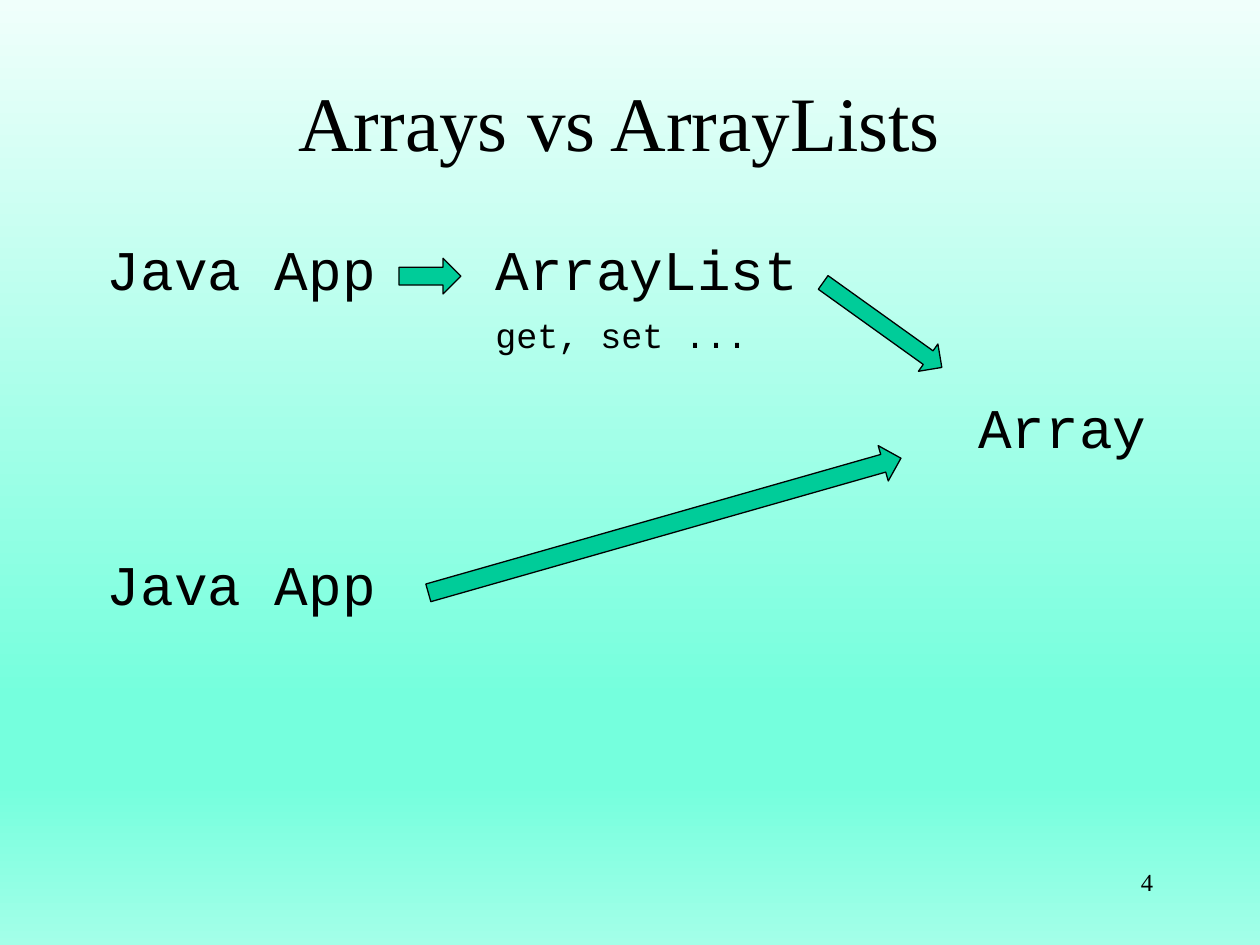
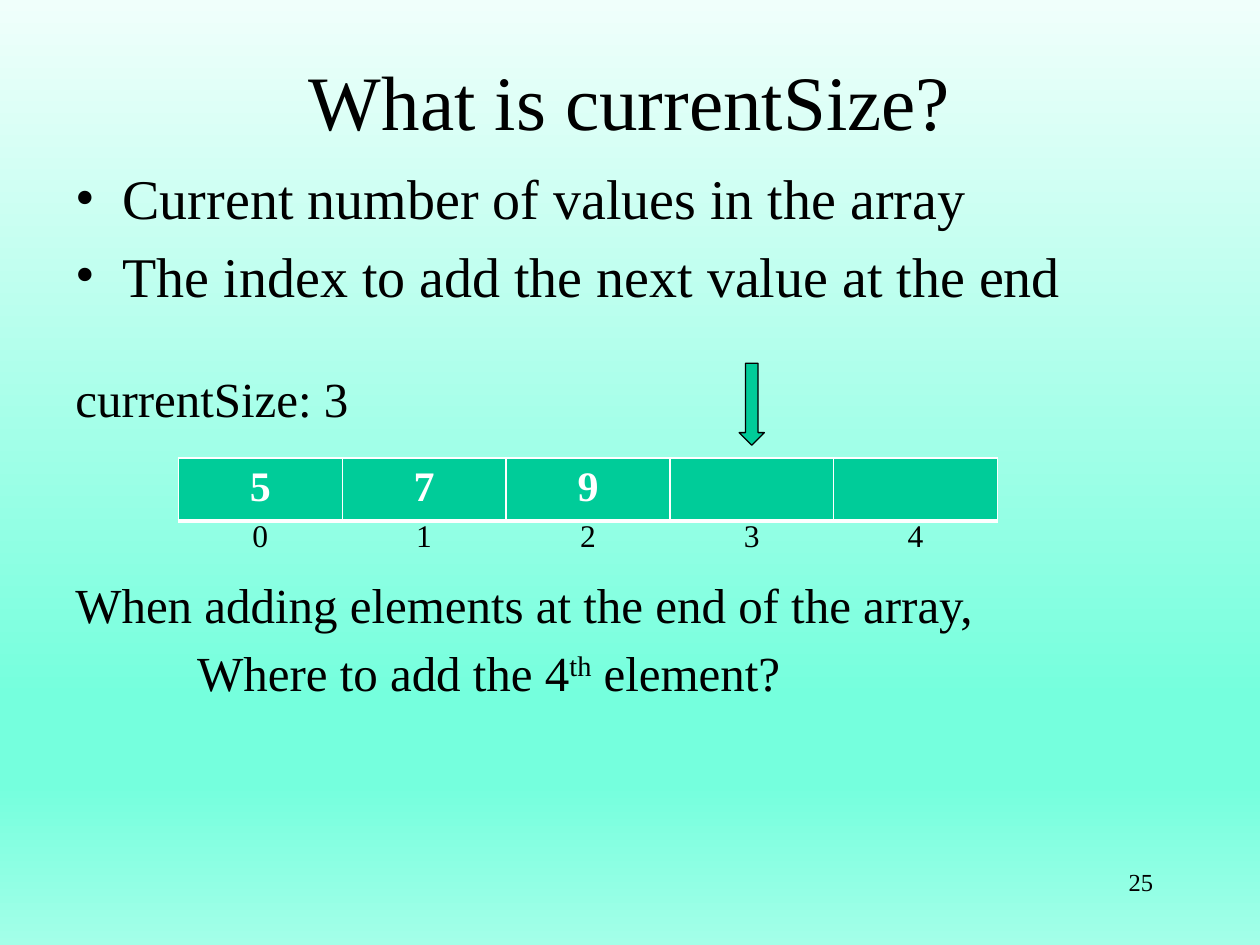
from lxml import etree
from pptx import Presentation
from pptx import util as u
from pptx.dml.color import RGBColor
from pptx.enum import shapes, text
from pptx.oxml import ns

COLUMNS, ROWS = 120, 90
SLIDE_WIDTH, SLIDE_HEIGHT = u.Inches(10), u.Inches(7.5)
SERIF, MONO = "Times New Roman", "Courier New"
BLACK, WHITE, GREEN = "000000", "FFFFFF", "00CC99"
BACKDROP = [(0, "F0FFFB"), (74, "75FFDD"), (83, "75FFDD"), (100, "A3FFE8")]
TITLE_ONLY = 5


def color(hex_value):
    return RGBColor.from_string(hex_value)


def cols(count):
    return round(SLIDE_WIDTH * count / COLUMNS)


def rows(count):
    return round(SLIDE_HEIGHT * count / ROWS)


def area(left, top, width, height):
    return cols(left), rows(top), cols(width), rows(height)


def add_xml(parent, tag, **attributes):
    return etree.SubElement(parent, ns.qn(tag), attributes)


def paint_backdrop(master):
    fill = master.background.fill
    fill.gradient()
    fill.gradient_angle = 270
    stops = next(master.element.iter(ns.qn("a:gsLst")))
    for stop in list(stops):
        stops.remove(stop)
    for percent, shade in BACKDROP:
        stop = add_xml(stops, "a:gs", pos=str(percent * 1000))
        add_xml(stop, "a:srgbClr", val=shade)


def style(paragraph, size, face=SERIF, shade=BLACK, align=text.PP_ALIGN.LEFT):
    paragraph.alignment = align
    paragraph.font.size = u.Pt(size)
    paragraph.font.name = face
    paragraph.font.color.rgb = color(shade)


def add_label(slide, place, words, size, face=SERIF, align=text.PP_ALIGN.LEFT):
    frame = slide.shapes.add_textbox(*area(*place)).text_frame
    frame.word_wrap = True
    paragraph = frame.paragraphs[0]
    paragraph.text = words
    style(paragraph, size, face, align=align)
    return paragraph


def add_code(slide, place, words, size=32):
    add_label(slide, place, words, size, MONO).line_spacing = 0.8


def add_arrow(slide, place, kind=shapes.MSO_SHAPE.RIGHT_ARROW, rotation=0):
    arrow = slide.shapes.add_shape(kind, *area(*place))
    arrow.rotation = rotation
    arrow.shadow.inherit = False
    arrow.fill.solid()
    arrow.fill.fore_color.rgb = color(GREEN)
    arrow.line.color.rgb = color(BLACK)
    arrow.line.width = u.Pt(0.75)


def add_slide(deck, heading, place, number):
    slide = deck.slides.add_slide(deck.slide_layouts[TITLE_ONLY])
    title = slide.shapes.title
    title.left, title.top, title.width, title.height = area(*place)
    title.text_frame.text = heading
    title.text_frame.vertical_anchor = text.MSO_ANCHOR.MIDDLE
    style(title.text_frame.paragraphs[0], 44, align=text.PP_ALIGN.CENTER)
    add_label(slide, (86, 82, 25, 6), number, 14, align=text.PP_ALIGN.RIGHT)
    return slide


def add_points(slide, place, points):
    frame = slide.shapes.add_textbox(*area(*place)).text_frame
    frame.word_wrap = True
    for index, (runs, size, gap, indent, bulleted) in enumerate(points):
        paragraph = frame.add_paragraph() if index else frame.paragraphs[0]
        style(paragraph, size)
        paragraph.space_before = u.Pt(gap)
        for words, raised in runs:
            run = paragraph.add_run()
            run.text = words
            if raised:
                run._r.get_or_add_rPr().set("baseline", "30000")
        properties = paragraph._p.get_or_add_pPr()
        properties.set("marL", str(cols(indent)))
        if bulleted:
            properties.set("indent", str(-cols(indent)))
            defaults = properties.find(ns.qn("a:defRPr"))
            defaults.addprevious(etree.Element(ns.qn("a:buFont"), typeface=SERIF))
            defaults.addprevious(etree.Element(ns.qn("a:buChar"), char="•"))


def add_border(cell, side, width):
    line = add_xml(cell._tc.get_or_add_tcPr(), "a:ln" + side, w=str(u.Pt(width)))
    add_xml(add_xml(line, "a:solidFill"), "a:srgbClr", val=WHITE)


def add_array(slide, left, top, cell_width, values):
    place = area(left, top, cell_width * len(values), 4.9)
    array = slide.shapes.add_table(1, len(values), *place).table
    array.horz_banding = False
    for index, (cell, value) in enumerate(zip(array.rows[0].cells, values)):
        cell.text = value
        paragraph = cell.text_frame.paragraphs[0]
        style(paragraph, 24, shade=WHITE, align=text.PP_ALIGN.CENTER)
        paragraph.font.bold = True
        for side, width in (("L", 1), ("R", 1), ("T", 1), ("B", 3)):
            add_border(cell, side, width)
        cell.fill.solid()
        cell.fill.fore_color.rgb = color(GREEN)
        add_label(slide, (left + index * cell_width, top + 5, cell_width, 4.8),
                  str(index), 18, align=text.PP_ALIGN.CENTER)


def build_comparison(deck):
    slide = add_slide(deck, "Arrays vs ArrayLists", (8, 4, 102, 15), "4")
    for top in (23, 53):
        add_code(slide, (9, top, 31, 11), "Java App")
    add_code(slide, (46, 23, 34, 6), "ArrayList")
    add_code(slide, (92, 38, 20, 6), "Array")
    add_code(slide, (46, 30, 29, 6), "get, set ...", 20)
    add_arrow(slide, (38, 24.6, 5.9, 3.4))
    add_arrow(slide, (77.1, 29.35, 13.9, 3.2), rotation=35.6)
    add_arrow(slide, (39.9, 48.3, 46.8, 3.5), rotation=344.1)


def build_current_size(deck):
    slide = add_slide(deck, "What is currentSize?", (9, 4, 102, 11), "25")
    add_points(slide, (6, 15, 111, 56), [
        ([("Current number of values in the array", False)], 32, 6, 4.5, True),
        ([("The index to add the next value at the end", False)], 32, 6, 4.5, True),
        ([("currentSize: 3", False)], 28, 34, 0, False),
        ([("When adding elements at the end of the array,", False)], 28, 84.4, 0, False),
        ([("Where to add the 4", False), ("th", True), (" element?", False)],
         28, 5, 11.6, False),
    ])
    add_array(slide, 17, 43.6, 15.6, ["5", "7", "9", "", ""])
    add_arrow(slide, (70.4, 34.6, 2.4, 7.8), shapes.MSO_SHAPE.DOWN_ARROW)


def main():
    deck = Presentation()
    deck.slide_width, deck.slide_height = SLIDE_WIDTH, SLIDE_HEIGHT
    paint_backdrop(deck.slide_master)
    build_comparison(deck)
    build_current_size(deck)
    deck.save("out.pptx")


if __name__ == "__main__":
    main()
